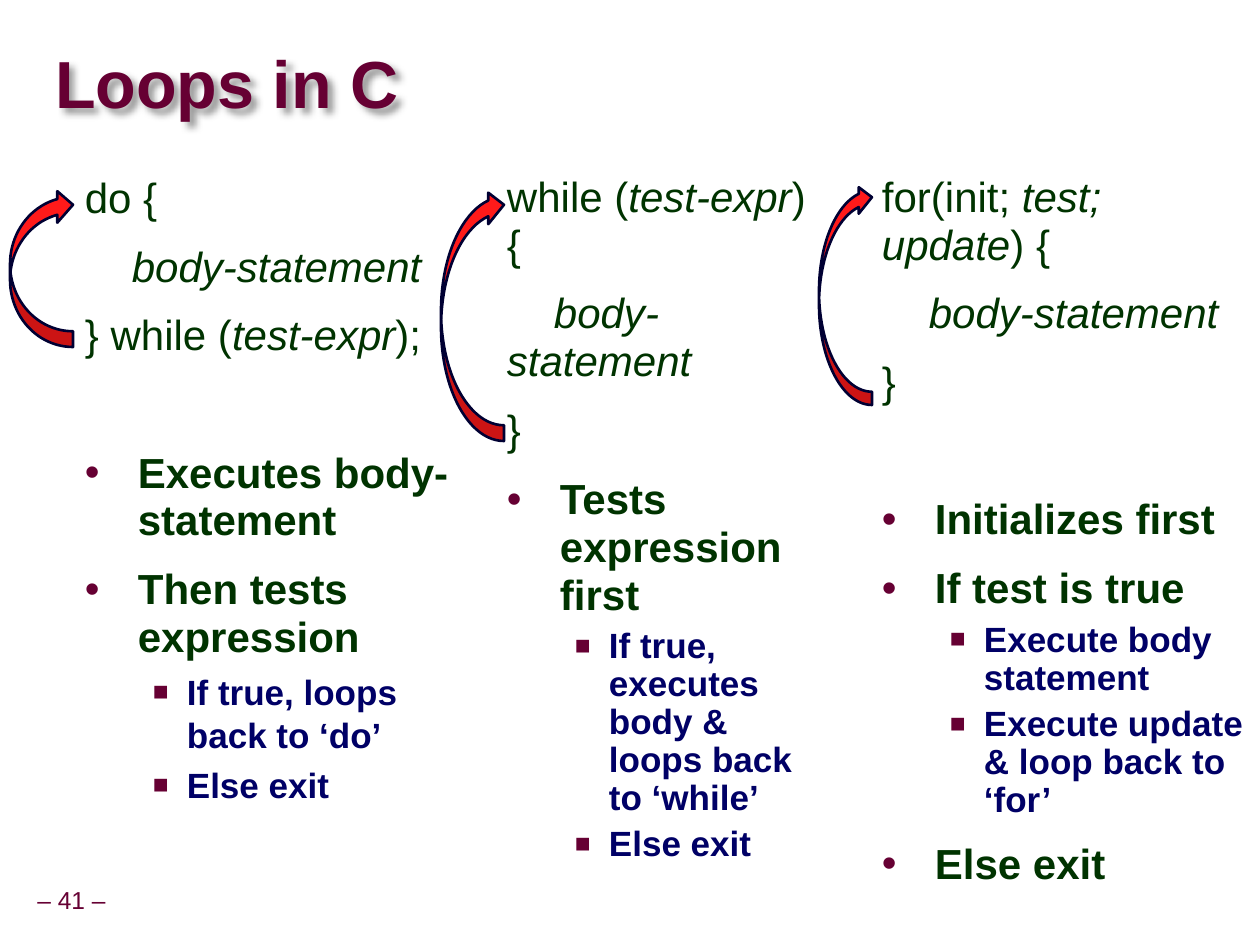
from dataclasses import dataclass

from lxml.etree import SubElement
from pptx import Presentation
from pptx.dml.color import RGBColor
from pptx.enum.shapes import MSO_SHAPE
from pptx.enum.text import MSO_ANCHOR, PP_ALIGN
from pptx.oxml.ns import qn
from pptx.util import Emu, Pt

SCALE = 914400 / 126


@dataclass(frozen=True)
class Theme:
    """Colours, font and type sizes."""
    font: str = "Arial"
    accent: str = "660033"
    body: str = "003300"
    sub: str = "000066"
    arrow: str = "FF1A1A"
    outline: str = "000033"
    title_size: int = 38
    body_size: int = 24
    sub_size: int = 20
    page_size: int = 14


T = Theme()
STYLES = {
    "code": dict(size=T.body_size, color=T.body, line=0.95, before=12),
    "point": dict(size=T.body_size, color=T.body, line=0.95, before=12,
                  bold=True, margin=53, indent=-53, bullet="•"),
    "sub": dict(size=T.sub_size, color=T.sub, line=0.9, before=5, bold=True,
                level=1, margin=102, indent=-34, bullet="■", bullet_size=75),
}
STYLES["nested"] = STYLES["code"] | dict(indent=47)
STYLES["gap_point"] = STYLES["point"] | dict(before=51)
STYLES["loose_sub"] = STYLES["sub"] | dict(line=1.0)

COLUMNS = [
    ((72, 169, 391, 719), (10, 189, 63, 158), [
        ("code", "do {"),
        ("nested", "*body-statement*"),
        ("code", "} while (*test-expr*);"),
        ("gap_point", "Executes body-statement"),
        ("point", "Then tests expression"),
        ("loose_sub", "If true, loops back to ‘do’"),
        ("loose_sub", "Else exit"),
    ]),
    ((494, 168, 336, 719), (441, 189, 63, 252), [
        ("code", "while (*test-expr*) {"),
        ("nested", "*body-statement*"),
        ("code", "}"),
        ("point", "Tests expression first"),
        ("sub", "If true, executes body & loops back to ‘while’"),
        ("sub", "Else exit"),
    ]),
    ((869, 168, 391, 719), (819, 184, 53, 221), [
        ("code", "for(init; *test; update*) {"),
        ("nested", "*body-statement*"),
        ("code", "}"),
        ("gap_point", "Initializes first"),
        ("point", "If test is true"),
        ("sub", "Execute body statement"),
        ("sub", "Execute update & loop back to ‘for’"),
        ("point", "Else exit"),
    ]),
]


def px(n):
    """Turn pixels into EMU."""
    return Emu(round(n * SCALE))


def add_box(s, at, inset=(0, 0), anchor=MSO_ANCHOR.TOP, wrap=True):
    """Add an empty text box."""
    sp = s.shapes.add_textbox(*map(px, at))
    tf = sp.text_frame
    tf.word_wrap = wrap
    tf.vertical_anchor = anchor
    tf.margin_left = tf.margin_right = px(inset[0])
    tf.margin_top = tf.margin_bottom = px(inset[1])
    return sp


def set_bullet(p, char, size):
    """Give a paragraph a coloured bullet."""
    pPr = p._p.get_or_add_pPr()
    clr = SubElement(pPr, qn("a:buClr"))
    SubElement(clr, qn("a:srgbClr"), val=T.accent)
    SubElement(pPr, qn("a:buSzPct"), val=str(size * 1000))
    SubElement(pPr, qn("a:buFont"), typeface=T.font)
    SubElement(pPr, qn("a:buChar"), char=char)


def add_text(p, text, size, color, line=1.0, before=0, bold=False, level=0,
             margin=0, indent=0, bullet=None, bullet_size=100,
             align=PP_ALIGN.LEFT):
    """Write formatted text, with italics between asterisks."""
    p.alignment, p.level = align, level
    p.line_spacing, p.space_before = line, Pt(before)
    pPr = p._p.get_or_add_pPr()
    pPr.set("marL", str(px(margin)))
    pPr.set("indent", str(px(indent)))
    if bullet:
        set_bullet(p, bullet, bullet_size)
    for i, part in enumerate(text.split("*")):
        if part:
            r = p.add_run()
            r.text = part
            r.font.name, r.font.size = T.font, Pt(size)
            r.font.bold, r.font.italic = bold, i % 2 == 1
            r.font.color.rgb = RGBColor.from_string(color)


def add_shadow(sp):
    """Cast a soft shadow down and to the right."""
    effects = SubElement(sp._element.spPr, qn("a:effectLst"))
    shadow = SubElement(effects, qn("a:outerShdw"), blurRad="50800",
                        dist="50800", dir="2700000", algn="tl")
    clr = SubElement(shadow, qn("a:srgbClr"), val="000000")
    SubElement(clr, qn("a:alpha"), val="40000")


def add_title(s, text):
    """Add the shadowed slide title."""
    sp = add_box(s, (55, 34, 1201, 107), anchor=MSO_ANCHOR.MIDDLE)
    add_text(sp.text_frame.paragraphs[0], text, T.title_size, T.accent,
             line=0.87, bold=True)
    add_shadow(sp)


def add_page_number(s, text):
    """Add the page number at the lower left."""
    sp = add_box(s, (30, 882, 83, 39), (6, 6), MSO_ANCHOR.MIDDLE, wrap=False)
    add_text(sp.text_frame.paragraphs[0], text, T.page_size, T.accent,
             line=0.9, align=PP_ALIGN.CENTER)


def add_column(s, at, rows):
    """Add one loop's code and explanation."""
    tf = add_box(s, at, (13, 6)).text_frame
    for i, (style, text) in enumerate(rows):
        p = tf.add_paragraph() if i else tf.paragraphs[0]
        add_text(p, text, **STYLES[style])


def add_loop_arrow(s, at):
    """Add an arrow curving from the loop's end to its start."""
    sp = s.shapes.add_shape(MSO_SHAPE.CURVED_LEFT_ARROW, *map(px, at))
    sp.rotation = 180
    sp.shadow.inherit = False
    sp.fill.solid()
    sp.fill.fore_color.rgb = RGBColor.from_string(T.arrow)
    sp.line.color.rgb = RGBColor.from_string(T.outline)
    sp.line.width = Pt(1.5)


def main():
    """Build and save the slide."""
    prs = Presentation()
    prs.slide_width, prs.slide_height = px(1260), px(945)
    s = prs.slides.add_slide(prs.slide_layouts[6])
    add_page_number(s, "– 41 –")
    add_title(s, "Loops in C")
    for text_at, arrow_at, rows in COLUMNS:
        add_column(s, text_at, rows)
        add_loop_arrow(s, arrow_at)
    prs.save("out.pptx")


if __name__ == "__main__":
    main()
